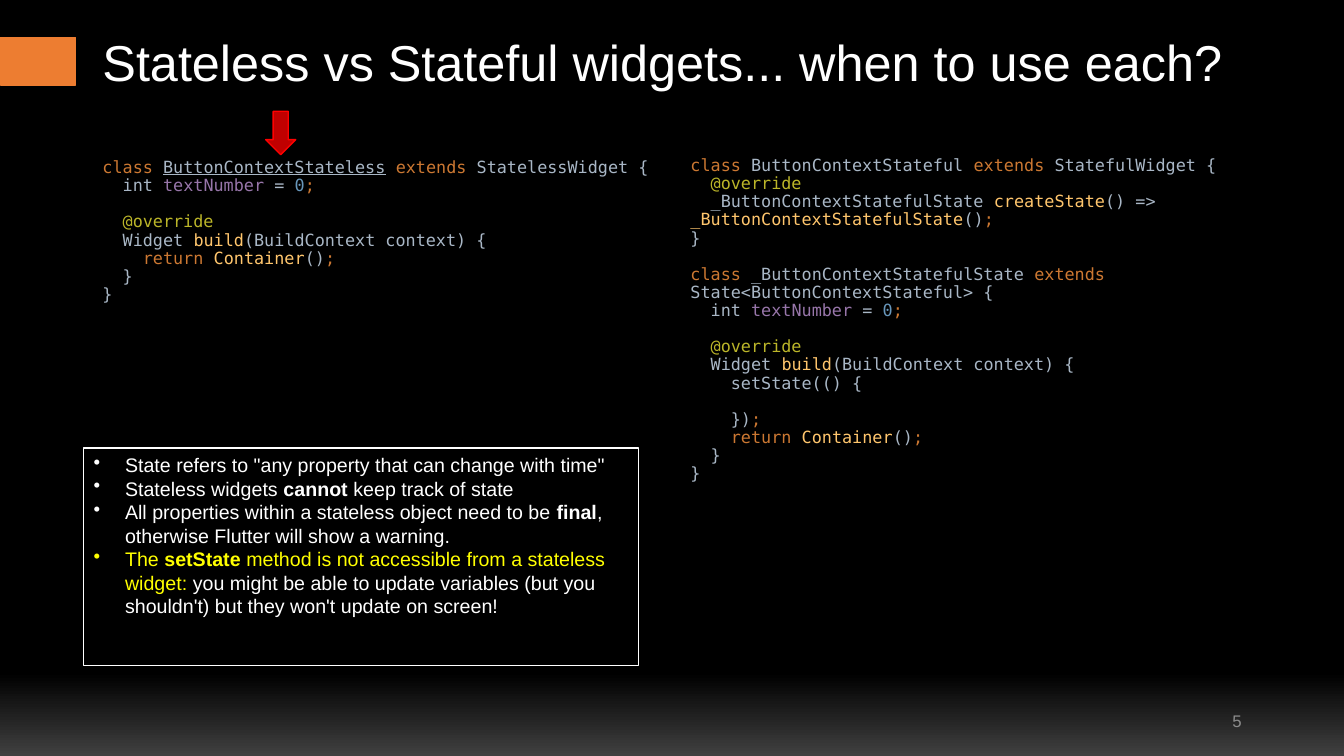
from lxml.etree import SubElement
from pptx import Presentation
from pptx.dml.color import RGBColor
from pptx.enum.shapes import MSO_SHAPE
from pptx.enum.text import MSO_ANCHOR, MSO_AUTO_SIZE, PP_ALIGN
from pptx.oxml.ns import qn
from pptx.util import Pt

BLACK = RGBColor(0x00, 0x00, 0x00)
DARK_GRAY = RGBColor(0x40, 0x40, 0x40)
NUMBER_GRAY = RGBColor(0x8C, 0x8C, 0x8C)
WHITE = RGBColor(0xFF, 0xFF, 0xFF)
YELLOW = RGBColor(0xFF, 0xFF, 0x00)
ORANGE = RGBColor(0xED, 0x7D, 0x31)
DARK_RED = RGBColor(0xC0, 0x00, 0x00)
RED = RGBColor(0xFF, 0x00, 0x00)
KEYWORD = RGBColor(0xCC, 0x78, 0x32)
PLAIN = RGBColor(0xA9, 0xB7, 0xC6)
FIELD = RGBColor(0x98, 0x76, 0xAA)
LITERAL = RGBColor(0x68, 0x97, 0xBB)
ANNOTATION = RGBColor(0xBB, 0xB5, 0x29)
METHOD = RGBColor(0xFF, 0xC6, 0x6D)

TEXT_FONT = "Arial"
CODE_FONT = "DejaVu Sans Mono"

FIELD_AND_BUILD = [
    ("  int ", PLAIN), ("textNumber ", FIELD), ("= ", PLAIN), ("0", LITERAL),
    (";\n\n", KEYWORD), ("  @override\n", ANNOTATION),
    ("  Widget ", PLAIN), ("build", METHOD), ("(BuildContext context) {\n", PLAIN),
]
RETURN_CONTAINER = [
    ("    return ", KEYWORD), ("Container", METHOD), ("()", PLAIN),
    (";\n", KEYWORD), ("  }\n}", PLAIN),
]
STATELESS_CODE = [
    ("class ", KEYWORD), ("ButtonContextStateless", PLAIN, True),
    (" ", PLAIN), ("extends ", KEYWORD), ("StatelessWidget {\n", PLAIN),
    *FIELD_AND_BUILD,
    *RETURN_CONTAINER,
]
STATEFUL_CODE = [
    ("class ", KEYWORD), ("ButtonContextStateful ", PLAIN),
    ("extends ", KEYWORD), ("StatefulWidget {\n", PLAIN),
    ("  @override\n", ANNOTATION), ("  _ButtonContextStatefulState ", PLAIN),
    ("createState", METHOD), ("() => ", PLAIN),
    ("_ButtonContextStatefulState", METHOD), ("()", PLAIN), (";\n", KEYWORD),
    ("}\n\n", PLAIN), ("class ", KEYWORD), ("_ButtonContextStatefulState ", PLAIN),
    ("extends ", KEYWORD), ("State<ButtonContextStateful> {\n", PLAIN),
    *FIELD_AND_BUILD,
    ("    setState(() {\n\n    })", PLAIN), (";\n", KEYWORD),
    *RETURN_CONTAINER,
]
NOTES = [
    [("State refers to \"any property that can change with time\"", WHITE, False)],
    [("Stateless widgets ", WHITE, False), ("cannot", WHITE, True),
     (" keep track of state", WHITE, False)],
    [("All properties within a stateless object need to be ", WHITE, False),
     ("final", WHITE, True), (", otherwise Flutter will show a warning.", WHITE, False)],
    [("The ", YELLOW, False), ("setState", YELLOW, True),
     (" method is not accessible from a stateless widget: ", YELLOW, False),
     ("you might be able to update variables (but you shouldn't) "
      "but they won't update on screen!", WHITE, False)],
]


def paint_background(slide):
    """Fill the slide with black that lightens at the bottom edge."""
    fill = slide.background.fill
    fill.gradient()
    fill.gradient_angle = 270
    for stop, position, color in zip(fill.gradient_stops, (0.89, 1), (BLACK, DARK_GRAY)):
        stop.position = position
        stop.color.rgb = color


def place(shape, left, top, width, height):
    """Move and size a shape, with lengths in points."""
    shape.left, shape.top = Pt(left), Pt(top)
    shape.width, shape.height = Pt(width), Pt(height)


def style_font(font, name, size, color=None):
    """Set the face, size and optional colour of a font."""
    font.name, font.size = name, Pt(size)
    if color is not None:
        font.color.rgb = color


def fill_title(title, text):
    """Write the slide title in its placeholder."""
    place(title, 66, 9, 828, 75)
    frame = title.text_frame
    frame.text = text
    frame.auto_size = MSO_AUTO_SIZE.NONE
    frame.vertical_anchor = MSO_ANCHOR.MIDDLE
    paragraph = frame.paragraphs[0]
    paragraph.alignment = PP_ALIGN.LEFT
    paragraph.line_spacing = 0.9
    style_font(paragraph.font, TEXT_FONT, 36, WHITE)


def add_code_token(paragraph, text, color, underline=False):
    """Append a coloured token, turning newlines into line breaks."""
    for index, line in enumerate(text.split("\n")):
        if index:
            paragraph.add_line_break()
        if line:
            run = paragraph.add_run()
            run.text = line
            run.font.color.rgb = color
            if underline:
                run.font.underline = True


def fill_code(body, left, top, width, height, tokens):
    """Write a highlighted listing in a body placeholder."""
    place(body, left, top, width, height)
    frame = body.text_frame
    frame.auto_size = MSO_AUTO_SIZE.NONE
    paragraph = frame.paragraphs[0]
    paragraph.line_spacing = 0.9
    paragraph.space_before = Pt(10)
    for token in tokens:
        add_code_token(paragraph, *token)
    style_font(paragraph.font, CODE_FONT, 12)
    for line_break in paragraph._p.findall(qn("a:br")):
        SubElement(line_break, qn("a:rPr"), sz="1200")
    properties = paragraph._p.get_or_add_pPr()
    properties.set("marL", "0")
    properties.set("indent", "0")
    properties.insert_element_before(
        properties.makeelement(qn("a:buNone")), "a:tabLst", "a:defRPr", "a:extLst")


def add_box(slide, preset, left, top, width, height, fill_color, line_color):
    """Add an outlined preset shape, hollow when no fill is given."""
    shape = slide.shapes.add_shape(preset, Pt(left), Pt(top), Pt(width), Pt(height))
    shape.shadow.inherit = False
    if fill_color is None:
        shape.fill.background()
    else:
        shape.fill.solid()
        shape.fill.fore_color.rgb = fill_color
    shape.line.color.rgb = line_color
    shape.line.width = Pt(1)
    return shape


def set_bullet(paragraph, indent):
    """Give a paragraph a round bullet with a hanging indent."""
    properties = paragraph._p.get_or_add_pPr()
    properties.set("marL", str(Pt(indent)))
    properties.set("indent", str(-Pt(indent)))
    bullet = properties.makeelement(qn("a:buChar"), {"char": "•"})
    properties.insert_element_before(bullet, "a:tabLst", "a:defRPr", "a:extLst")


def fill_notes(box, notes):
    """Write the bulleted notes in the outlined box."""
    frame = box.text_frame
    frame.word_wrap = True
    frame.vertical_anchor = MSO_ANCHOR.TOP
    for index, note in enumerate(notes):
        paragraph = frame.add_paragraph() if index else frame.paragraphs[0]
        paragraph.alignment = PP_ALIGN.LEFT
        style_font(paragraph.font, TEXT_FONT, 14)
        set_bullet(paragraph, 22.5)
        for text, color, bold in note:
            run = paragraph.add_run()
            run.text = text
            run.font.color.rgb = color
            run.font.bold = bold


def add_slide_number(slide, number):
    """Add the slide number at the bottom right."""
    box = slide.shapes.add_textbox(Pt(678), Pt(500.5), Pt(216), Pt(28.75))
    frame = box.text_frame
    frame.word_wrap = True
    frame.vertical_anchor = MSO_ANCHOR.MIDDLE
    paragraph = frame.paragraphs[0]
    paragraph.text = number
    paragraph.alignment = PP_ALIGN.RIGHT
    style_font(paragraph.font, TEXT_FONT, 12, NUMBER_GRAY)


def main():
    """Build and save the slide."""
    presentation = Presentation()
    presentation.slide_width, presentation.slide_height = Pt(960), Pt(540)
    slide = presentation.slides.add_slide(presentation.slide_layouts.get_by_name("Two Content"))
    paint_background(slide)
    title, stateless, stateful = slide.placeholders
    fill_title(title, "Stateless vs Stateful widgets... when to use each?")
    fill_code(stateless, 66, 110, 408, 394.5, STATELESS_CODE)
    fill_code(stateful, 486, 108.5, 408, 396, STATEFUL_CODE)
    add_slide_number(slide, "5")
    add_box(slide, MSO_SHAPE.RECTANGLE, 0.5, 26.75, 53.5, 34, ORANGE, ORANGE)
    notes_box = add_box(slide, MSO_SHAPE.RECTANGLE, 59.75, 320, 396.5, 155.5, None, WHITE)
    fill_notes(notes_box, NOTES)
    arrow = add_box(slide, MSO_SHAPE.RIGHT_ARROW, 185, 84.25, 31, 21.5, DARK_RED, RED)
    arrow.rotation = 90
    presentation.save("out.pptx")


main()
